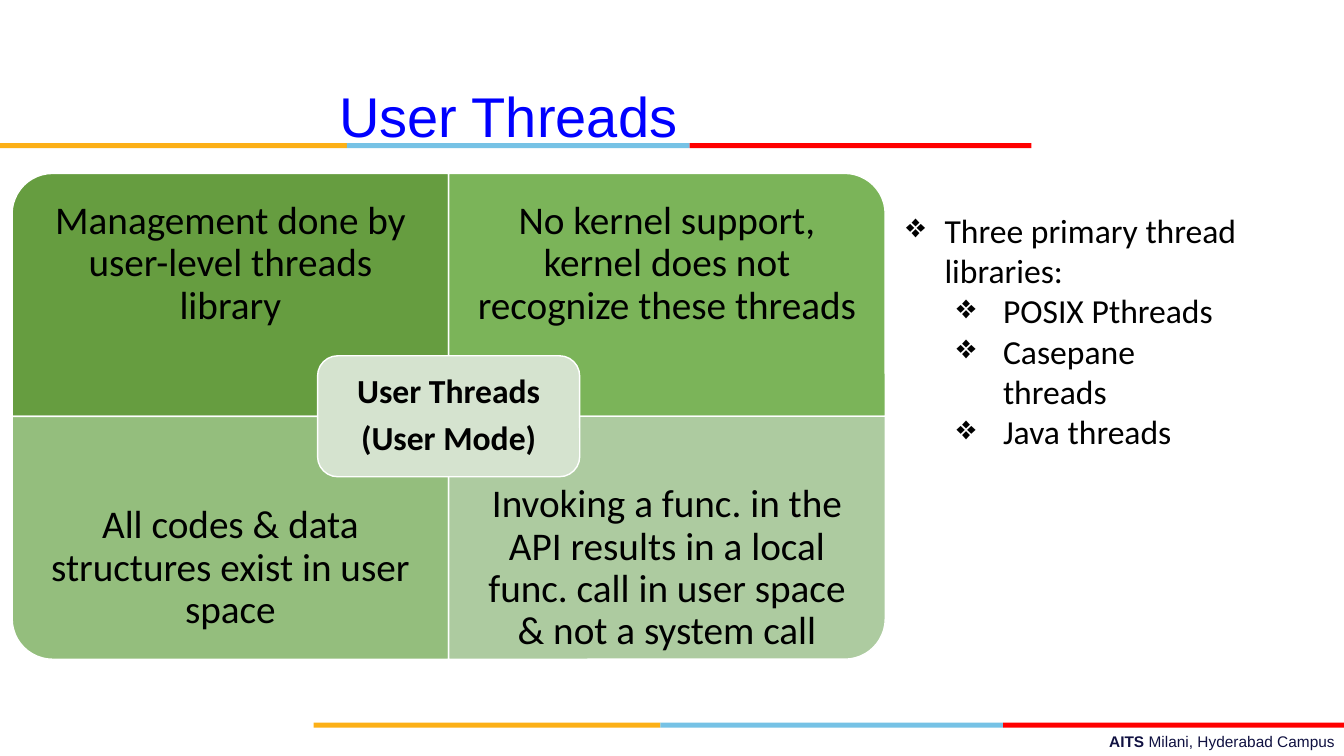
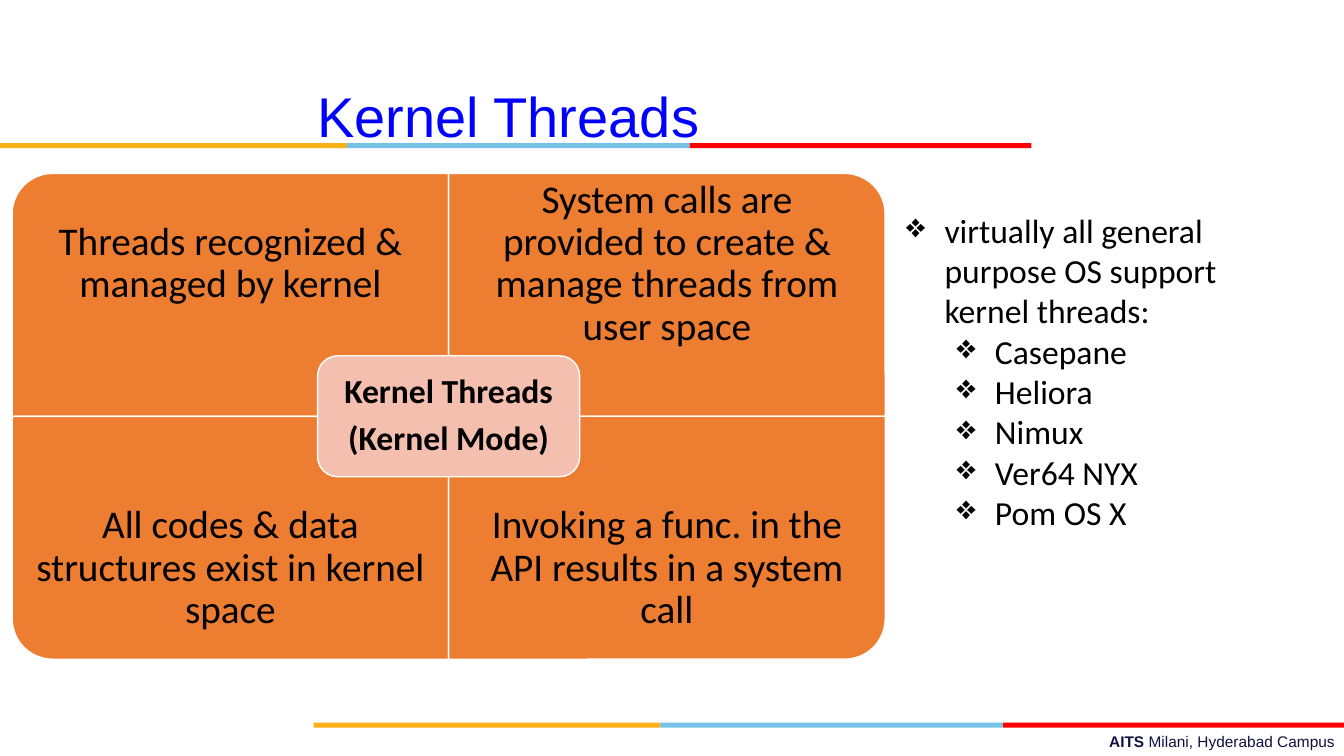
from lxml.etree import SubElement
from pptx import Presentation
from pptx.dml.color import RGBColor
from pptx.enum.shapes import MSO_SHAPE
from pptx.enum.text import MSO_ANCHOR, PP_ALIGN
from pptx.oxml.ns import qn
from pptx.util import Inches, Pt

COLORS = {
    "amber": "FCB017",
    "sky": "76C2E5",
    "red": "FF0000",
    "title": "0000FF",
    "footer": "101141",
    "text": "000000",
    "white": "FFFFFF",
    "orange": "ED7D31",
    "peach": "F4BFAE",
    "green_1": "669D40",
    "green_2": "7BB459",
    "green_3": "94BE7D",
    "green_4": "ADCBA0",
    "green_pale": "D5E3CF",
}
BAND_PARTS = [("amber", 3.44), ("sky", 3.4), ("red", 3.39)]
BAND_STARTS = [(0, 1.42), (3.11, 7.17)]
MATRIX_LEFT, MATRIX_TOP = 0.12, 1.72
CELL_WIDTH, CELL_HEIGHT = 4.33, 2.41
CELL_TEXT_HEIGHT = 1.8
CELL_ROTATIONS = [270, 0, 180, 90]
LABEL_WIDTH, LABEL_HEIGHT = 2.6, 1.2

SLIDES = [
    {
        "title": "User Threads",
        "mode": "(User Mode)",
        "fills": ["green_1", "green_2", "green_3", "green_4"],
        "label_fill": "green_pale",
        "cells": [
            "Management done by user-level threads library",
            "No kernel support, kernel does not recognize these threads",
            "All codes & data structures exist in user space",
            "Invoking a func. in the API results in a local func. call in user space & not a system call",
        ],
        "heading": "Three primary thread libraries:",
        "items": ["POSIX Pthreads", "Casepane threads", "Java threads"],
        "item_hanging": 0.46,
        "list_height": 2.12,
    },
    {
        "title": "Kernel Threads",
        "mode": "(Kernel Mode)",
        "fills": ["orange"] * 4,
        "label_fill": "peach",
        "cells": [
            "Threads recognized & managed by kernel",
            "System calls are provided to create & manage threads from user space",
            "All codes & data structures exist in kernel space",
            "Invoking a func. in the API results in a system call",
        ],
        "heading": "virtually all general purpose OS support kernel threads:",
        "items": ["Casepane", "Heliora", "Nimux", "Ver64 NYX", "Pom OS X"],
        "item_hanging": 0.38,
        "list_height": 3.33,
    },
]


def add_box(slide, preset, left, top, width, height, fill, line=None):
    shape = slide.shapes.add_shape(
        preset, Inches(left), Inches(top), Inches(width), Inches(height)
    )
    shape.shadow.inherit = False
    shape.fill.solid()
    shape.fill.fore_color.rgb = RGBColor.from_string(COLORS[fill])
    if line:
        shape.line.color.rgb = RGBColor.from_string(COLORS[line])
        shape.line.width = Pt(1)
    else:
        shape.line.fill.background()
    return shape


def add_text(slide, left, top, width, height, lines, size, color="text",
             font="Calibri", align=PP_ALIGN.CENTER, inset=None, bold=None):
    box = slide.shapes.add_textbox(
        Inches(left), Inches(top), Inches(width), Inches(height)
    )
    frame = box.text_frame
    frame.word_wrap = True
    frame.text = "\n".join(lines)
    if inset:
        frame.vertical_anchor = MSO_ANCHOR.MIDDLE
        frame.margin_left = frame.margin_right = Inches(inset)
        frame.margin_top = frame.margin_bottom = Inches(inset)
    for paragraph in frame.paragraphs:
        paragraph.alignment = align
        paragraph.font.name = font
        paragraph.font.size = Pt(size)
        paragraph.font.bold = bold
        paragraph.font.color.rgb = RGBColor.from_string(COLORS[color])
        if inset:
            paragraph.line_spacing = 0.9
            paragraph.space_after = Pt(8)
    return frame


presentation = Presentation()
presentation.slide_width = Inches(13.33)
presentation.slide_height = Inches(7.5)

for content in SLIDES:
    slide = presentation.slides.add_slide(presentation.slide_layouts[6])

    for left, top in BAND_STARTS:
        for color, width in BAND_PARTS:
            add_box(slide, MSO_SHAPE.RECTANGLE, left, top, width, 0.05, color)
            left += width

    footer = add_text(slide, 4.78, 7.21, 8.56, 0.29, ["AITS "], 11,
                      "footer", "Arial", PP_ALIGN.RIGHT)
    footer.paragraphs[0].runs[0].font.bold = True
    footer.paragraphs[0].add_run().text = "Milani, Hyderabad Campus"

    add_text(slide, 0.39, 0.76, 9.3, 0.77, [content["title"]], 40, "title", "Arial")

    cells = zip(content["cells"], content["fills"], CELL_ROTATIONS)
    for index, (text, fill, rotation) in enumerate(cells):
        row, column = divmod(index, 2)
        left = MATRIX_LEFT + column * CELL_WIDTH
        top = MATRIX_TOP + row * CELL_HEIGHT
        width, height = CELL_WIDTH, CELL_HEIGHT
        if rotation in (90, 270):
            width, height = height, width
        cell = add_box(slide, MSO_SHAPE.ROUND_1_RECTANGLE,
                       left + (CELL_WIDTH - width) / 2,
                       top + (CELL_HEIGHT - height) / 2,
                       width, height, fill, "white")
        cell.rotation = rotation
        text_top = top + row * (CELL_HEIGHT - CELL_TEXT_HEIGHT)
        add_text(slide, left, text_top, CELL_WIDTH, CELL_TEXT_HEIGHT,
                 [text], 28, inset=0.22)

    label_left = MATRIX_LEFT + CELL_WIDTH - LABEL_WIDTH / 2
    label_top = MATRIX_TOP + CELL_HEIGHT - LABEL_HEIGHT / 2
    add_box(slide, MSO_SHAPE.ROUNDED_RECTANGLE, label_left, label_top,
            LABEL_WIDTH, LABEL_HEIGHT, content["label_fill"], "white")
    add_text(slide, label_left, label_top, LABEL_WIDTH, LABEL_HEIGHT,
             [content["title"], content["mode"]], 24, inset=0.1, bold=True)

    bullets = add_text(slide, 8.89, 2.03, 3.54, content["list_height"],
                       [content["heading"], *content["items"]], 24,
                       align=PP_ALIGN.LEFT)
    for index, paragraph in enumerate(bullets.paragraphs):
        level = min(index, 1)
        hanging = content["item_hanging"] if level else 0.38
        paragraph.level = level
        properties = paragraph._p.get_or_add_pPr()
        properties.set("marL", str(Inches(level * 0.5 + hanging)))
        properties.set("indent", str(-Inches(hanging)))
        bullet = SubElement(properties, qn("a:buChar"), char="❖")
        properties.find(qn("a:defRPr")).addprevious(bullet)

presentation.save("out.pptx")
